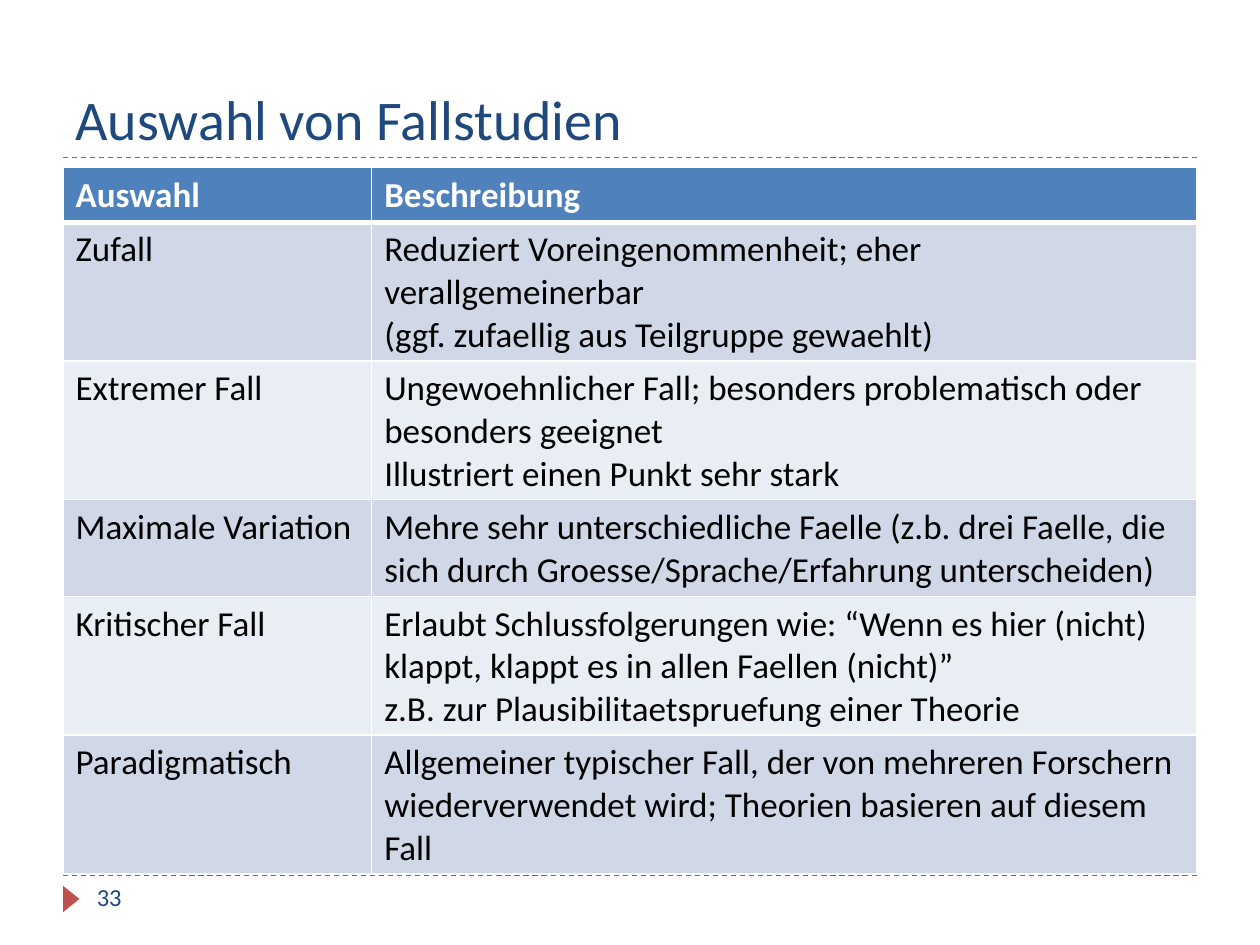
from dataclasses import dataclass

from lxml.etree import SubElement
from pptx import Presentation
from pptx.dml.color import RGBColor
from pptx.enum.dml import MSO_LINE_DASH_STYLE as Dash
from pptx.enum.shapes import MSO_CONNECTOR as Connector, MSO_SHAPE as Shape
from pptx.enum.text import MSO_ANCHOR as Anchor
from pptx.oxml.ns import qn
from pptx.util import Pt

EMU_PER_PX = 9144


@dataclass(frozen=True)
class Theme:
    font: str = "Calibri"
    heading: str = "1F497D"
    accent: str = "C0504D"
    header: str = "4F81BD"
    bands: tuple = ("D0D8E8", "E9EDF4")
    ink: str = "000000"
    paper: str = "FFFFFF"
    title_size: int = 32
    table_size: int = 20
    number_size: int = 14


def px(*lengths):
    return [length * EMU_PER_PX for length in lengths]


def rgb(code):
    return RGBColor.from_string(code)


def write(frame, text, *, font, size, color, bold=False):
    frame.word_wrap = True
    frame.text = text
    for paragraph in frame.paragraphs:
        for run in paragraph.runs:
            run.font.name = font
            run.font.size = Pt(size)
            run.font.bold = bold
            run.font.color.rgb = rgb(color)


class SlideBuilder:
    """Draws themed elements on one slide."""

    def __init__(self, slide, theme):
        self.slide = slide
        self.theme = theme

    def rule(self, left, right, y):
        divider = self.slide.shapes.add_connector(
            Connector.STRAIGHT, *px(left, y, right, y))
        divider.line.color.rgb = rgb(self.theme.accent)
        divider.line.width = Pt(0.75)
        divider.line.dash_style = Dash.DASH
        SubElement(divider.line._get_or_add_ln().getparent(), qn("a:effectLst"))

    def marker(self, *box):
        pointer = self.slide.shapes.add_shape(Shape.ISOSCELES_TRIANGLE, *px(*box))
        pointer.rotation = 90
        pointer.shadow.inherit = False
        pointer.fill.solid()
        pointer.fill.fore_color.rgb = rgb(self.theme.accent)
        pointer.line.fill.background()

    def label(self, text, *box, size, anchor=Anchor.TOP):
        frame = self.slide.shapes.add_textbox(*px(*box)).text_frame
        frame.vertical_anchor = anchor
        write(frame, text, font=self.theme.font, size=size, color=self.theme.heading)

    def border(self, cell, **widths):
        properties = cell._tc.get_or_add_tcPr()
        for side, width in widths.items():
            edge = SubElement(properties, qn(f"a:ln{side}"), w=str(Pt(width)))
            fill = SubElement(edge, qn("a:solidFill"))
            SubElement(fill, qn("a:srgbClr"), val=self.theme.paper)

    def table(self, rows, left, top, widths, row_height):
        theme = self.theme
        grid = self.slide.shapes.add_table(
            len(rows), len(widths),
            *px(left, top, sum(widths), row_height * len(rows))).table
        for column, width in zip(grid.columns, px(*widths)):
            column.width = width
        for r, texts in enumerate(rows):
            is_header = r == 0
            background = theme.header if is_header else theme.bands[(r - 1) % 2]
            for c, text in enumerate(texts):
                cell = grid.cell(r, c)
                self.border(cell, L=1, R=1, T=3 if r == 1 else 1,
                            B=3 if is_header else 1)
                cell.fill.solid()
                cell.fill.fore_color.rgb = rgb(background)
                write(cell.text_frame, text, font=theme.font, size=theme.table_size,
                      color=theme.paper if is_header else theme.ink, bold=is_header)


SELECTION_TYPES = [
    ("Auswahl", "Beschreibung"),
    ("Zufall", "Reduziert Voreingenommenheit; eher verallgemeinerbar \v"
               "(ggf. zufaellig aus Teilgruppe gewaehlt)"),
    ("Extremer Fall", "Ungewoehnlicher Fall; besonders problematisch oder "
                      "besonders geeignet\vIllustriert einen Punkt sehr stark"),
    ("Maximale Variation", "Mehre sehr unterschiedliche Faelle (z.b. drei Faelle, "
                           "die sich durch Groesse/Sprache/Erfahrung unterscheiden)"),
    ("Kritischer Fall", "Erlaubt Schlussfolgerungen wie: “Wenn es hier (nicht) "
                        "klappt, klappt es in allen Faellen (nicht)”\n"
                        "z.B. zur Plausibilitaetspruefung einer Theorie"),
    ("Paradigmatisch", "Allgemeiner typischer Fall, der von mehreren Forschern "
                       "wiederverwendet wird; Theorien basieren auf diesem Fall"),
]


def main():
    deck = Presentation()
    deck.slide_width, deck.slide_height = px(1000, 750)
    theme = Theme()
    page = SlideBuilder(deck.slides.add_slide(deck.slide_layouts[6]), theme)
    for y in (695, 125):
        page.rule(50, 950, y)
    page.marker(46, 707, 21, 13)
    page.label("Auswahl von Fallstudien", 50, 17, 900, 108,
               size=theme.title_size, anchor=Anchor.BOTTOM)
    page.label("33", 67, 695, 217, 40, size=theme.number_size)
    page.table(SELECTION_TYPES, 50, 133, (245, 655), 41)
    deck.save("out.pptx")


if __name__ == "__main__":
    main()
